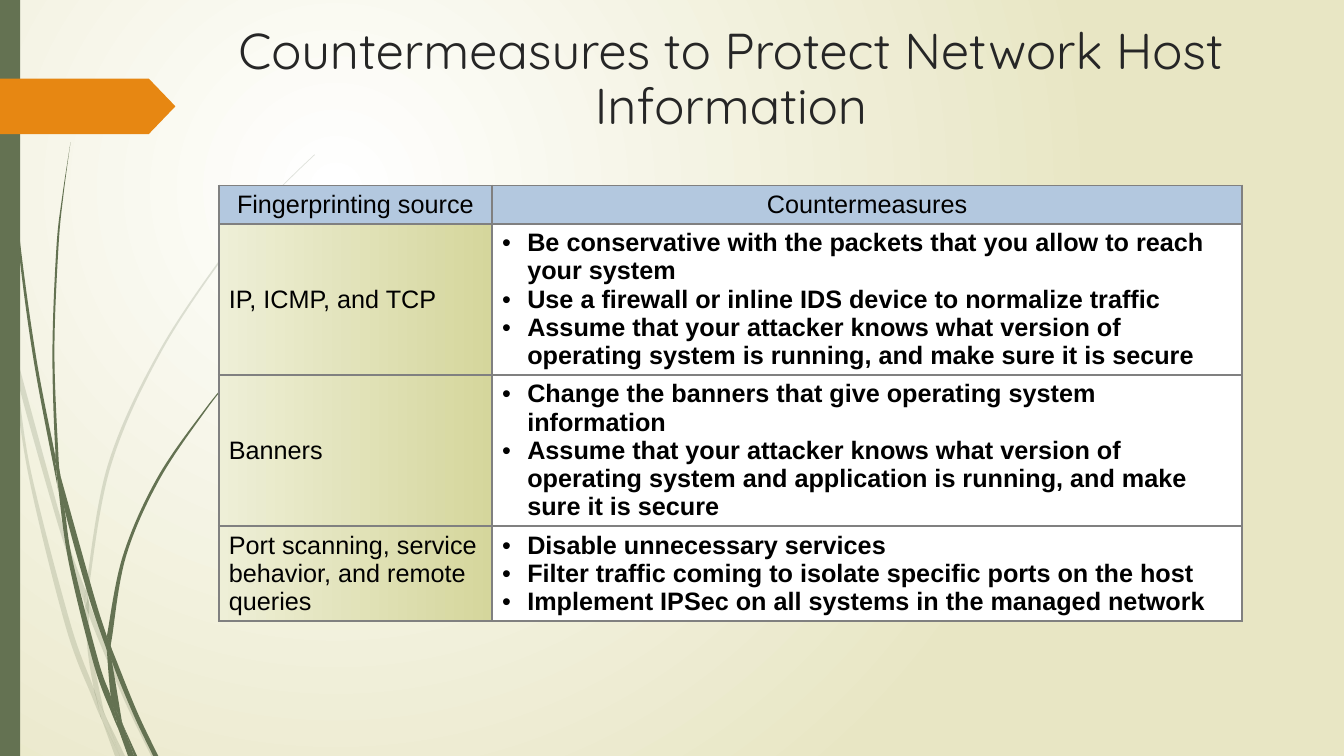
from lxml import etree
from pptx import Presentation
from pptx.dml.color import RGBColor
from pptx.enum import shapes, text
from pptx.oxml import parse_xml
from pptx.oxml.ns import nsdecls, qn
from pptx.util import Inches, Pt

GREEN = "647252"

FAINT_BLADES = [
    ([(0, 2.82), (0.09, 3.22), (0.11, 3.5)], [(0, 2.99), (0.1, 3.44), (0.11, 3.5)]),
    ([(0.14, 3.45), (0.17, 3.76), (0.58, 5.22), (0.84, 5.99)],
     [(0.14, 3.45), (0.62, 5.2), (0.85, 5.86)]),
    ([(0.88, 5.96), (0.88, 6.1), (1.23, 6.94), (1.5, 7.5)],
     [(0.88, 5.96), (0.92, 6.07), (1.27, 6.92), (1.55, 7.5)]),
    ([(1.05, 7.11), (1.19, 7.5)], [(1.05, 7.11), (1.24, 7.5)]),
    ([(0.11, 3.5), (0.28, 4.7), (0.65, 6.21), (0.92, 6.93), (1.01, 7.14)],
     [(0.11, 3.5), (0.17, 3.76), (0.31, 4.69), (0.7, 6.19), (0.93, 6.83), (0.99, 7.07)]),
    ([(0.84, 5.99), (0.87, 6.46), (0.93, 6.83), (0.96, 6.92), (1.05, 7.11)],
     [(0.84, 5.99), (0.88, 6.08), (0.88, 6.1), (0.91, 6.46), (1.03, 7.06)]),
    ([(3.12, 1.53), (2.89, 1.75), (2.68, 1.97), (2.28, 2.44), (1.58, 3.48),
      (1.07, 4.61), (0.85, 5.84), (0.85, 5.86), (0.88, 5.96)],
     [(3.12, 1.54), (2.9, 1.75), (2.68, 1.98), (2.29, 2.45), (1.6, 3.49),
      (1.1, 4.62), (0.88, 5.84), (0.88, 5.96)]),
    ([(1.01, 7.14), (1.14, 7.5)], [(1.01, 7.14), (1.19, 7.5)]),
    ([(0.85, 5.86), (0.84, 5.99), (0.88, 6.08)], [(0.85, 5.86), (0.88, 5.96), (0.88, 6.1)]),
    ([(0.93, 6.83), (0.99, 7.07), (1.01, 7.14), (1.19, 7.5)],
     [(0.93, 6.83), (0.96, 6.92), (1.05, 7.11), (1.19, 7.5)]),
]
SOLID_BLADES = [
    ([(0.03, 0), (0.04, 0.48), (0.07, 1.1), (0.17, 2.33), (0.33, 3.55), (0.56, 4.77), (0.57, 4.81)],
     [(0.04, 0), (0.05, 0.48), (0.08, 1.09), (0.19, 2.32), (0.36, 3.55), (0.55, 4.53), (0.55, 4.57)]),
    ([(0.6, 4.72), (0.64, 5.05), (0.88, 5.92), (1.06, 6.45)],
     [(0.6, 4.72), (0.93, 5.9), (1.06, 6.31), (1.06, 6.33)]),
    ([(1.1, 6.41), (1.11, 6.56), (1.32, 7.08), (1.52, 7.5)],
     [(1.1, 6.41), (1.13, 6.49), (1.36, 7.06), (1.57, 7.5)]),
    ([(0.57, 4.77), (0.68, 5.57), (0.93, 6.59), (1.11, 7.08), (1.17, 7.22)],
     [(0.57, 4.77), (0.64, 5.05), (0.72, 5.56), (0.98, 6.57), (1.1, 6.91), (1.16, 7.17)]),
    ([(0.7, 1.41), (0.62, 1.93), (0.56, 2.45), (0.52, 3.49), (0.55, 4.49), (0.6, 4.72)],
     [(0.7, 1.41), (0.63, 1.93), (0.58, 2.45), (0.54, 3.49), (0.58, 4.53), (0.6, 4.72)]),
    ([(1.22, 7.19), (1.33, 7.5)], [(1.22, 7.19), (1.36, 7.5)]),
    ([(0.55, 4.49), (0.55, 4.53), (0.57, 4.77), (0.64, 5.05)], [(0.55, 4.49), (0.6, 4.72), (0.64, 5.05)]),
    ([(2.6, 3.44), (2.45, 3.58), (2.31, 3.73), (2.04, 4.05), (1.56, 4.74), (1.22, 5.51), (1.06, 6.31)],
     [(2.61, 3.44), (2.45, 3.59), (2.31, 3.74), (2.05, 4.06), (1.58, 4.76), (1.25, 5.52),
      (1.11, 6.33), (1.1, 6.41)]),
    ([(1.17, 7.22), (1.27, 7.5)], [(1.17, 7.22), (1.31, 7.5)]),
    ([(1.06, 6.45), (1.1, 6.91), (1.16, 7.06), (1.22, 7.19)],
     [(1.06, 6.45), (1.09, 6.51), (1.11, 6.56), (1.21, 7.16)]),
    ([(1.06, 6.31), (1.06, 6.45), (1.09, 6.51), (1.11, 6.56)], [(1.06, 6.31), (1.1, 6.41), (1.11, 6.56)]),
    ([(1.1, 6.91), (1.16, 7.17), (1.17, 7.22), (1.3, 7.5)],
     [(1.1, 6.91), (1.16, 7.06), (1.22, 7.19), (1.33, 7.5)]),
]

HEADINGS = ["Fingerprinting source", "Countermeasures"]
DEFENCES = [
    ("IP, ICMP, and TCP", [
        "Be conservative with the packets that you allow to reach your system",
        "Use a firewall or inline IDS device to normalize traffic",
        "Assume that your attacker knows what version of operating system "
        "is running, and make sure it is secure"]),
    ("Banners", [
        "Change the banners that give operating system information",
        "Assume that your attacker knows what version of operating system "
        "and application is running, and make sure it is secure"]),
    ("Port scanning, service behavior, and remote queries", [
        "Disable unnecessary services",
        "Filter traffic coming to isolate specific ports on the host",
        "Implement IPSec on all systems in the managed network"]),
]


def paint(fill, hex_value):
    fill.solid()
    fill.fore_color.rgb = RGBColor.from_string(hex_value)


def shade(fill, start, end):
    fill.gradient()
    fill.gradient_angle = 0
    for stop, position, hex_value in zip(fill.gradient_stops, (0, 1), (start, end)):
        stop.position = position
        stop.color.rgb = RGBColor.from_string(hex_value)


def add_background(slide):
    shade(slide.background.fill, "FFFFFF", "E8E6C4")
    direction = slide.element.xpath(".//p:bg//a:gradFill/a:lin")[0]
    direction.getparent().replace(direction, parse_xml(
        f'<a:path {nsdecls("a")} path="circle">'
        '<a:fillToRect l="50000" t="50000" r="100000" b="100000"/></a:path>'))


def finish(shape, hex_value):
    paint(shape.fill, hex_value)
    shape.line.fill.background()
    shape.shadow.inherit = False


def curve_points(knots):
    ends = [knots[0], *knots, knots[-1]]
    points = []
    for a, b, c, d in zip(ends, ends[1:], ends[2:], ends[3:]):
        points.append(tuple(q + (r - p) / 6 for p, q, r in zip(a, b, c)))
        points.append(tuple(r - (s - q) / 6 for q, r, s in zip(b, c, d)))
        points.append(c)
    return points


def add_blade(group, left_edge, right_edge, opacity):
    tip, foot = left_edge[0], right_edge[-1]
    points = [tip, *curve_points(left_edge), foot, foot, foot, *curve_points(right_edge[::-1])]
    outline = [(Inches(x), Inches(y)) for x, y in points]
    builder = group.shapes.build_freeform(*outline[0])
    builder.add_line_segments(outline[1:], close=True)
    blade = builder.convert_to_shape()
    segments = blade.element.xpath(".//a:lnTo")
    for first, second, third in zip(segments[::3], segments[1::3], segments[2::3]):
        first.tag = qn("a:cubicBezTo")
        for extra in (second, third):
            first.append(extra[0])
            extra.getparent().remove(extra)
    finish(blade, GREEN)
    if opacity < 100:
        tint = blade.element.spPr.find(qn("a:solidFill"))[0]
        etree.SubElement(tint, qn("a:alpha"), val=str(opacity * 1000))


def add_block(slide, preset, top, width, height, hex_value):
    block = slide.shapes.add_shape(preset, 0, Inches(top), Inches(width), Inches(height))
    finish(block, hex_value)
    return block


def format_runs(paragraph, size, font, hex_value, bold=False):
    for run in paragraph.runs:
        run.font.size = Pt(size)
        run.font.name = font
        run.font.bold = bold
        run.font.color.rgb = RGBColor.from_string(hex_value)


def place_title(slide, wording):
    title = slide.shapes.title
    title.left, title.top = Inches(2.17), Inches(0.21)
    title.width, title.height = Inches(10.16), Inches(1.25)
    frame = title.text_frame
    frame.text = wording
    frame.word_wrap = True
    frame.auto_size = text.MSO_AUTO_SIZE.NONE
    frame.vertical_anchor = text.MSO_ANCHOR.TOP
    heading = frame.paragraphs[0]
    heading.alignment = text.PP_ALIGN.CENTER
    heading.line_spacing = 0.9
    format_runs(heading, 36, "Quicksand", "262626")
    title.element.getparent().append(title.element)


def add_borders(cell):
    for side in ("lnL", "lnR", "lnT", "lnB"):
        cell._tc.get_or_add_tcPr().append(parse_xml(
            f'<a:{side} {nsdecls("a")} w="{Pt(1.5)}"><a:solidFill>'
            f'<a:srgbClr val="808080"/></a:solidFill></a:{side}>'))


def add_bullet(paragraph):
    properties = paragraph._p.get_or_add_pPr()
    properties.set("marL", str(Inches(0.25)))
    properties.set("indent", str(-Inches(0.25)))
    etree.SubElement(properties, qn("a:buFont"), typeface="Arial")
    etree.SubElement(properties, qn("a:buChar"), char="•")


def fill_cell(cell, lines, align=text.PP_ALIGN.LEFT, bulleted=False):
    add_borders(cell)
    cell.vertical_anchor = text.MSO_ANCHOR.MIDDLE
    cell.text_frame.text = "\n".join(lines)
    for paragraph in cell.text_frame.paragraphs:
        paragraph.alignment = align
        if bulleted:
            add_bullet(paragraph)
        format_runs(paragraph, 18, "Arial", "000000", bold=bulleted)


def add_defence_table(slide):
    table = slide.shapes.add_table(len(DEFENCES) + 1, 2, Inches(2.17), Inches(1.84),
                                   Inches(10.15), Inches(4.6)).table
    table.horz_banding = False
    for column, width in zip(table.columns, (2.71, 7.44)):
        column.width = Inches(width)
    for row, height in zip(table.rows, (0.2, 0.92, 0.85, 0.23)):
        row.height = Inches(height)
    for cell, heading in zip(table.rows[0].cells, HEADINGS):
        fill_cell(cell, [heading], align=text.PP_ALIGN.CENTER)
        paint(cell.fill, "B3C8DF")
    for index, (source, measures) in enumerate(DEFENCES, 1):
        source_cell, measures_cell = table.rows[index].cells
        fill_cell(source_cell, [source])
        shade(source_cell.fill, "EEEFD7", "D5D69C")
        fill_cell(measures_cell, measures, bulleted=True)
        paint(measures_cell.fill, "FFFFFF")


def main():
    deck = Presentation()
    deck.slide_width, deck.slide_height = Inches(13.33), Inches(7.5)
    slide = deck.slides.add_slide(deck.slide_layouts[5])
    add_background(slide)
    for blades, opacity in ((FAINT_BLADES, 20), (SOLID_BLADES, 100)):
        group = slide.shapes.add_group_shape()
        for left_edge, right_edge in blades:
            add_blade(group, left_edge, right_edge, opacity)
    add_block(slide, shapes.MSO_SHAPE.RECTANGLE, 0, 0.2, 7.5, GREEN)
    marker = add_block(slide, shapes.MSO_SHAPE.PENTAGON, 0.78, 1.74, 0.55, "E78712")
    marker.adjustments[0] = 0.48
    place_title(slide, "Countermeasures to Protect Network Host Information")
    add_defence_table(slide)
    deck.save("out.pptx")


if __name__ == "__main__":
    main()
